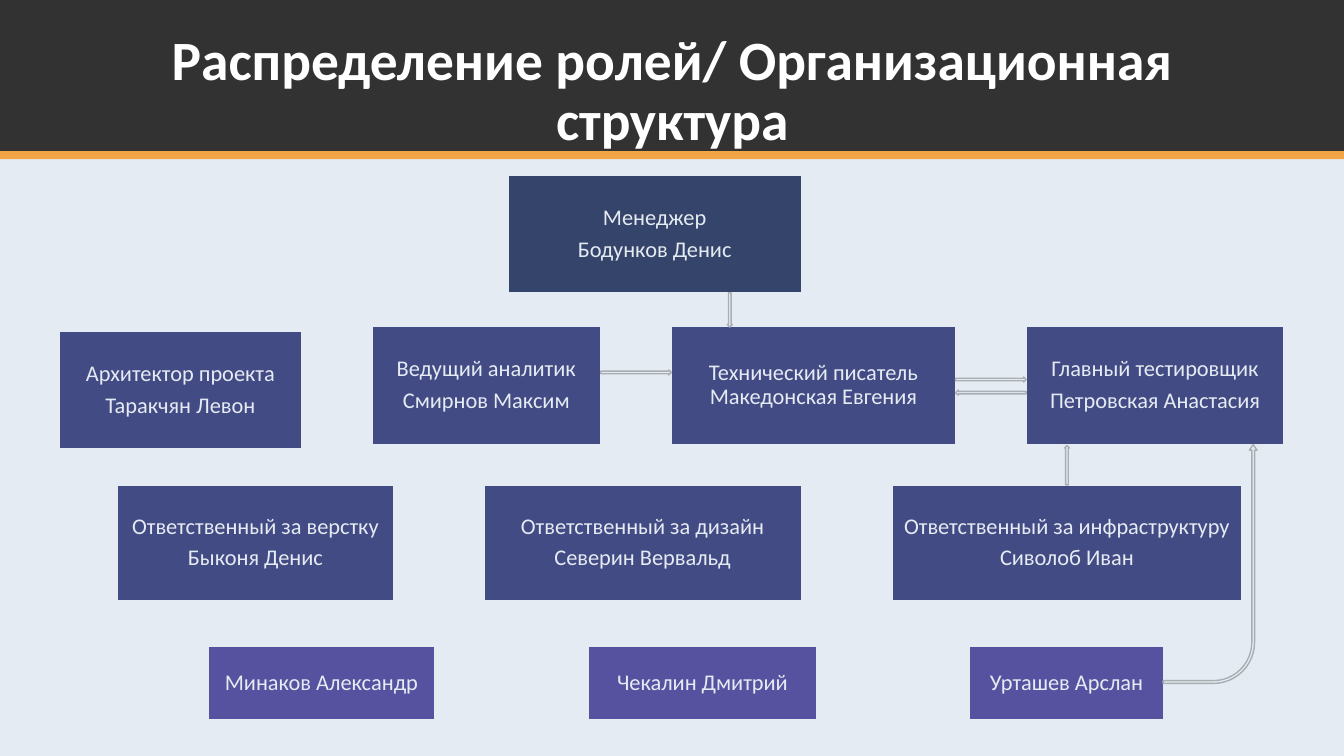
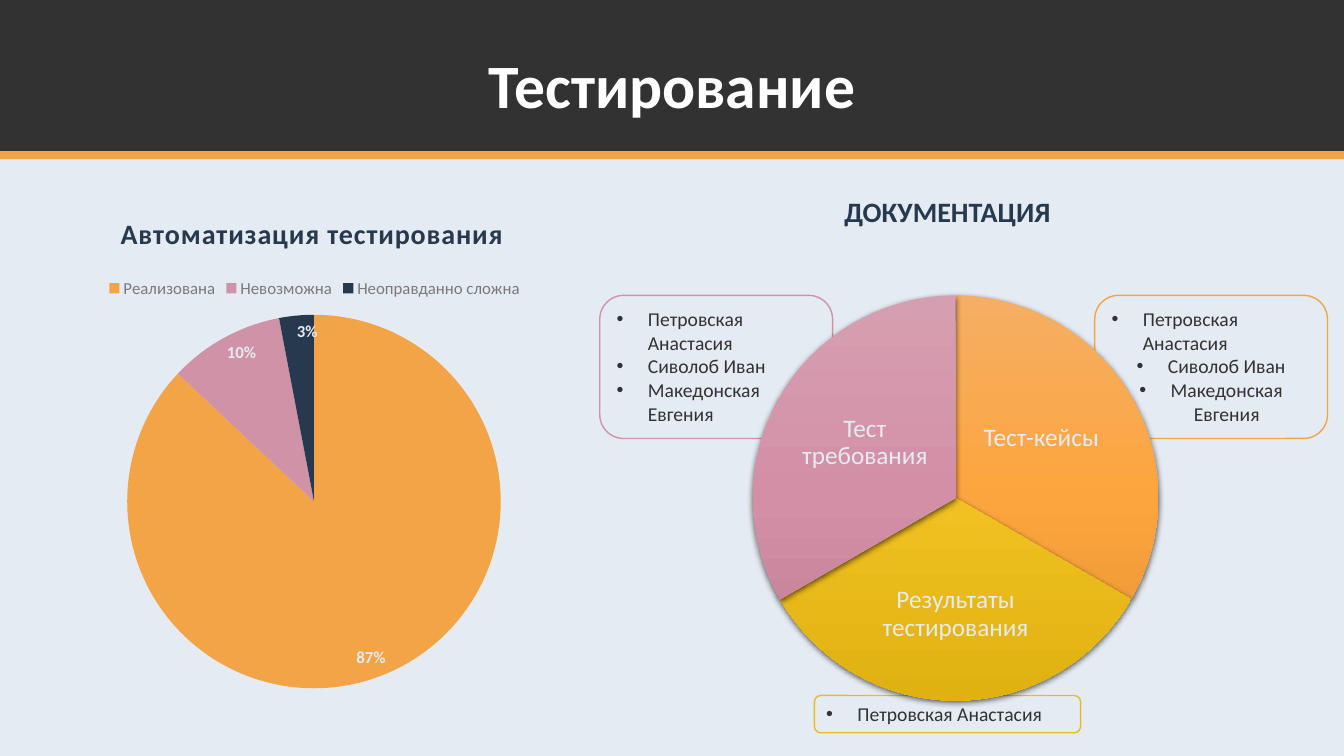
import dataclasses
import functools
import typing

import lxml.etree
import pptx
import pptx.chart.data
import pptx.dml.color
import pptx.enum.chart
import pptx.enum.shapes
import pptx.enum.text
import pptx.oxml.ns
import pptx.util

Pt = pptx.util.Pt
Kind = pptx.enum.shapes.MSO_SHAPE
Anchor = pptx.enum.text.MSO_ANCHOR
MID = pptx.enum.text.PP_ALIGN.CENTER
LEFT = pptx.enum.text.PP_ALIGN.LEFT
qn = pptx.oxml.ns.qn
UNIT = 0.1  # side of a grid cell, inches
COLS, ROWS = 133.33, 75


@dataclasses.dataclass(frozen=True)
class Theme:
    font: str = "Calibri"
    back: str = "E5EBF2"
    dark: str = "323232"
    gold: str = "F3A447"
    rose: str = "D092A7"
    corn: str = "E7BC29"
    navy: str = "27394E"
    white: str = "FFFFFF"
    gray: str = "7A7A7A"
    edge: str = "A9AEB3"
    boss: str = "35446A"
    lead: str = "434B85"
    staff: str = "5652A0"
    head: float = 44
    long: float = 39.6
    topic: float = 20
    wedge: float = 18
    body: float = 16
    note: float = 14
    key: float = 12
    base: float = 10


T = Theme()


class Area(typing.NamedTuple):
    """Columns and rows of the grid."""
    x: float
    y: float
    w: float
    h: float


class Tier(typing.NamedTuple):
    y: float
    h: float
    fill: str


class Role(typing.NamedTuple):
    tier: Tier
    x: float
    w: float
    lines: tuple[str, ...]


class Arrow(typing.NamedTuple):
    area: Area
    turn: float


class Wedge(typing.NamedTuple):
    start: float
    end: float
    stops: tuple[str, str, str]
    label: str
    spot: Area


class Note(typing.NamedTuple):
    area: Area
    edge: str
    names: tuple[str, ...]
    aligns: tuple


# Shared helpers
def rgb(code: str) -> pptx.dml.color.RGBColor:
    return pptx.dml.color.RGBColor.from_string(code)


def span(area: Area) -> list[int]:
    return [pptx.util.Inches(n * UNIT) for n in area]


def apply(item, form: dict) -> None:
    for key, val in form.items():
        *way, last = key.split(".")
        setattr(functools.reduce(getattr, way, item), last, val)


def face(size: float, ink: str, bold: bool = False) -> dict:
    return {"name": T.font, "size": Pt(size), "bold": bold, "color.rgb": rgb(ink)}


def write(shape, lines: typing.Sequence[str], font: dict, pad: float = 0.07,
          para: dict | None = None, gap: float = 0, anchor=Anchor.MIDDLE) -> None:
    frame = shape.text_frame
    inset = pptx.util.Inches(pad)
    apply(frame, {"word_wrap": True, "vertical_anchor": anchor,
                  "margin_left": inset, "margin_right": inset,
                  "margin_top": inset, "margin_bottom": inset})
    for i, line in enumerate(lines):
        p = frame.add_paragraph() if i else frame.paragraphs[0]
        apply(p, {"alignment": MID, **(para or {})})
        if i and gap:
            p.space_before = Pt(gap)
        run = p.add_run()
        run.text = line
        apply(run.font, font)


def block(slide, kind, area: Area, fill: str, edge: str | None = None):
    shape = slide.shapes.add_shape(kind, *span(area))
    shape.shadow.inherit = False
    shape.fill.solid()
    shape.fill.fore_color.rgb = rgb(fill)
    if edge:
        apply(shape.line, {"color.rgb": rgb(edge), "width": Pt(1)})
    else:
        shape.line.fill.background()
    return shape


def child(root, tag: str, **attrs: str):
    return lxml.etree.SubElement(root, qn(tag), attrs)


def open_slide(deck, text: str, size: float, area: Area):
    slide = deck.slides.add_slide(deck.slide_layouts[5])
    title = slide.shapes.title
    apply(title, dict(zip(("left", "top", "width", "height"), span(area))))
    write(title, [text], face(size, T.white, True), 0.05, {"line_spacing": 0.9})
    title.text_frame.auto_size = pptx.enum.text.MSO_AUTO_SIZE.NONE
    return slide


def set_bands(slide) -> None:
    """Move the title bands and the backdrop to the shared layout."""
    lay = slide.slide_layout
    lay.background.fill.solid()
    lay.background.fill.fore_color.rgb = rgb(T.back)
    tree = lay.shapes.element
    for hold in list(lay.placeholders)[1:]:
        tree.remove(hold.element)
    bands = ((Area(0, 0, COLS, 15), T.dark), (Area(0, 15, COLS, 0.8), T.gold))
    for i, (area, fill) in enumerate(bands):
        tree.insert(2 + i, block(slide, Kind.RECTANGLE, area, fill).element)


# Team chart
BOSS = Tier(17.4, 11.6, T.boss)
SOLO = Tier(32.9, 11.6, T.lead)
LEAD = Tier(32.4, 11.7, T.lead)
HEAD = Tier(48.1, 11.5, T.lead)
STAFF = Tier(64.1, 7.3, T.staff)
ROLES = (
    Role(BOSS, 50.4, 29.1, ("Менеджер", "Бодунков Денис")),
    Role(SOLO, 5.9, 24, ("Архитектор проекта", "Таракчян Левон")),
    Role(LEAD, 36.9, 22.7, ("Ведущий аналитик", "Смирнов Максим")),
    Role(LEAD, 66.6, 28.2, ("Технический писатель Македонская Евгения",)),
    Role(LEAD, 101.8, 25.6, ("Главный тестировщик", "Петровская Анастасия")),
    Role(HEAD, 11.6, 27.5, ("Ответственный за верстку", "Быконя Денис")),
    Role(HEAD, 48, 31.5, ("Ответственный за дизайн", "Северин Вервальд")),
    Role(HEAD, 88.5, 34.7, ("Ответственный за инфраструктуру", "Сиволоб Иван")),
    Role(STAFF, 20.7, 22.4, ("Минаков Александр",)),
    Role(STAFF, 58.4, 22.6, ("Чекалин Дмитрий",)),
    Role(STAFF, 96.2, 19.2, ("Урташев Арслан",)),
)
ARROWS = (
    Arrow(Area(94.8, 37.4, 7, 0.5), 0),
    Arrow(Area(94.8, 38.7, 7, 0.5), 180),
    Arrow(Area(59.6, 36.7, 7, 0.5), 0),
    Arrow(Area(70.7, 30.5, 3.4, 0.5), 90),
    Arrow(Area(103.9, 45.9, 3.9, 0.5), 270),
)


def draw_team(slide) -> None:
    for role in ROLES:
        tier = role.tier
        box = block(slide, Kind.RECTANGLE, Area(role.x, tier.y, role.w, tier.h),
                    tier.fill, T.back)
        write(box, role.lines, face(T.body, T.back), 0.06,
              {"line_spacing": 0.9}, gap=5.5)
    for arrow in ARROWS:
        block(slide, Kind.RIGHT_ARROW, arrow.area, T.back, T.edge).rotation = arrow.turn
    # Bent arrow up to the chief tester
    bent = block(slide, Kind.BENT_ARROW, Area(108.2, 51.3, 23.7, 9.3), T.back, T.edge)
    bent.rotation = 90
    bent.element.spPr.find(qn("a:xfrm")).set("flipH", "1")
    for i, val in enumerate((0.03, 0.04, 0.06, 0.44)):
        bent.adjustments[i] = val


# Test slide
NOTES = (
    Note(Area(80.8, 69, 26.4, 3.7), T.corn, ("Петровская Анастасия",), (LEFT,)),
    Note(Area(108.6, 29.3, 23.1, 14.2), T.gold,
         ("Петровская Анастасия", "Сиволоб Иван", "Македонская Евгения"),
         (LEFT, MID, MID)),
    Note(Area(59.5, 29.3, 23.1, 14.2), T.rose,
         ("Петровская Анастасия", "Сиволоб Иван", "Македонская Евгения"),
         (LEFT, LEFT, LEFT)),
)
DISC = Area(74.7, 29.3, 40.2, 40.2)
WEDGES = (
    Wedge(270, 30, ("F6AE64", "FCA53E", "E59332"), "Тест-кейсы",
          Area(96.5, 36.8, 13.6, 13.4)),
    Wedge(30, 150, ("ECC453", "F0C120", "E0B211"), "Результаты тестирования",
          Area(85.7, 54.7, 18.2, 12.5)),
    Wedge(150, 270, ("D69FB1", "D38FA6", "BF7B92"), "Тест требования",
          Area(79, 37.2, 13.6, 13.4)),
)
SHARES = {"Реализована": (87, T.gold), "Невозможна": (10, T.rose),
          "Неоправданно сложна": (3, T.navy)}


def draw_note(slide, note: Note) -> None:
    box = block(slide, Kind.ROUNDED_RECTANGLE, note.area, T.back, note.edge)
    write(box, note.names, face(T.note, T.dark), anchor=Anchor.TOP)
    apply(box.text_frame, {"margin_left": Pt(7.2), "margin_right": Pt(7.2),
                           "margin_top": Pt(3.6), "margin_bottom": Pt(3.6)})
    dent = pptx.util.Inches(0.31)
    for p, align in zip(box.text_frame.paragraphs, note.aligns):
        p.alignment = align
        props = p._p.get_or_add_pPr()
        props.set("marL", str(dent))
        props.set("indent", str(-dent))
        child(props, "a:buFont", typeface="Arial")
        child(props, "a:buChar", char="•")


def draw_wedge(slide, wedge: Wedge) -> None:
    pie = block(slide, Kind.PIE, DISC, wedge.stops[1])
    for i, turn in enumerate((wedge.start, wedge.end)):
        pie.adjustments[i] = turn * 0.6
    # Three-stop gradient and soft shadow
    pie.fill.gradient()
    grad = pie.element.spPr.find(qn("a:gradFill"))
    for old in list(grad):
        grad.remove(old)
    stops = child(grad, "a:gsLst")
    for i, code in enumerate(wedge.stops):
        child(child(stops, "a:gs", pos=str(i * 50000)), "a:srgbClr", val=code)
    child(grad, "a:lin", ang="5400000", scaled="0")
    glow = child(pie.element.spPr.find(qn("a:effectLst")), "a:outerShdw",
                 blurRad=str(Pt(4.5)), dist=str(Pt(1.5)), dir="5400000",
                 algn="ctr", rotWithShape="0")
    child(child(glow, "a:srgbClr", val="000000"), "a:alpha", val="63000")
    text = slide.shapes.add_textbox(*span(wedge.spot))
    write(text, [wedge.label], face(T.wedge, T.back), 0.03, {"line_spacing": 0.9})


def place(root, index: int, inner: bool = False, **pos: float) -> None:
    """Set the place of a chart element as shares of the chart."""
    for old in root.findall(qn("c:layout")):
        root.remove(old)
    lay = lxml.etree.Element(qn("c:layout"))
    man = child(lay, "c:manualLayout")
    if inner:
        child(man, "c:layoutTarget", val="inner")
    for side in ("x", "y"):
        child(man, f"c:{side}Mode", val="edge")
    for side, val in pos.items():
        child(man, f"c:{side}", val=str(val))
    root.insert(index, lay)


def draw_chart(slide) -> None:
    data = pptx.chart.data.CategoryChartData()
    data.categories = list(SHARES)
    data.add_series("Series 1", [val for val, _ in SHARES.values()])
    chart = slide.shapes.add_chart(pptx.enum.chart.XL_CHART_TYPE.PIE,
                                   *span(Area(2.2, 19.7, 57.9, 50.1)), data).chart
    apply(chart.font, face(T.base, T.dark))
    chart.has_title = chart.has_legend = True
    run = chart.chart_title.text_frame.paragraphs[0].add_run()
    run.text = "Автоматизация тестирования"
    apply(run.font, face(T.topic, T.navy, True))
    run.font._element.set("spc", "50")
    apply(chart.legend, {"position": pptx.enum.chart.XL_LEGEND_POSITION.TOP,
                         "include_in_layout": False})
    apply(chart.legend.font, face(T.key, T.gray))
    plot = chart.plots[0]
    apply(plot, {"vary_by_categories": True, "has_data_labels": True})
    apply(plot.data_labels, {
        "show_percentage": True, "show_value": False, "number_format": "0%",
        "number_format_is_linked": False,
        "position": pptx.enum.chart.XL_LABEL_POSITION.INSIDE_END})
    apply(plot.data_labels.font, face(T.key, T.back, True))
    for i, (_, code) in enumerate(SHARES.values()):
        fill = plot.series[0].points[i].format.fill
        fill.solid()
        fill.fore_color.rgb = rgb(code)
    root = chart.element.find(qn("c:chart"))
    place(root.find(qn("c:title")), 1, x=0.16, y=0.02)
    place(root.find(qn("c:legend")), 1, x=0.14, y=0.15)
    place(root.find(qn("c:plotArea")), 0, True, x=0.18, y=0.23, w=0.64, h=0.74)


def draw_tests(slide) -> None:
    for note in NOTES:
        draw_note(slide, note)
    draw_chart(slide)
    for wedge in WEDGES:
        draw_wedge(slide, wedge)
    text = slide.shapes.add_textbox(*span(Area(77.1, 18.8, 33.8, 4.4)))
    write(text, ["ДОКУМЕНТАЦИЯ"], face(T.topic, T.navy, True), 0.05, anchor=Anchor.TOP)


def main() -> None:
    deck = pptx.Presentation()
    deck.slide_width, deck.slide_height = span(Area(0, 0, COLS, ROWS))[2:]
    team = open_slide(deck, "Распределение ролей/ Организационная структура",
                      T.long, Area(9.2, 4, 115, 10.3))
    set_bands(team)
    draw_team(team)
    draw_tests(open_slide(deck, "Тестирование", T.head, Area(9.2, 4, 115, 9.6)))
    deck.save("out.pptx")


if __name__ == "__main__":
    main()
